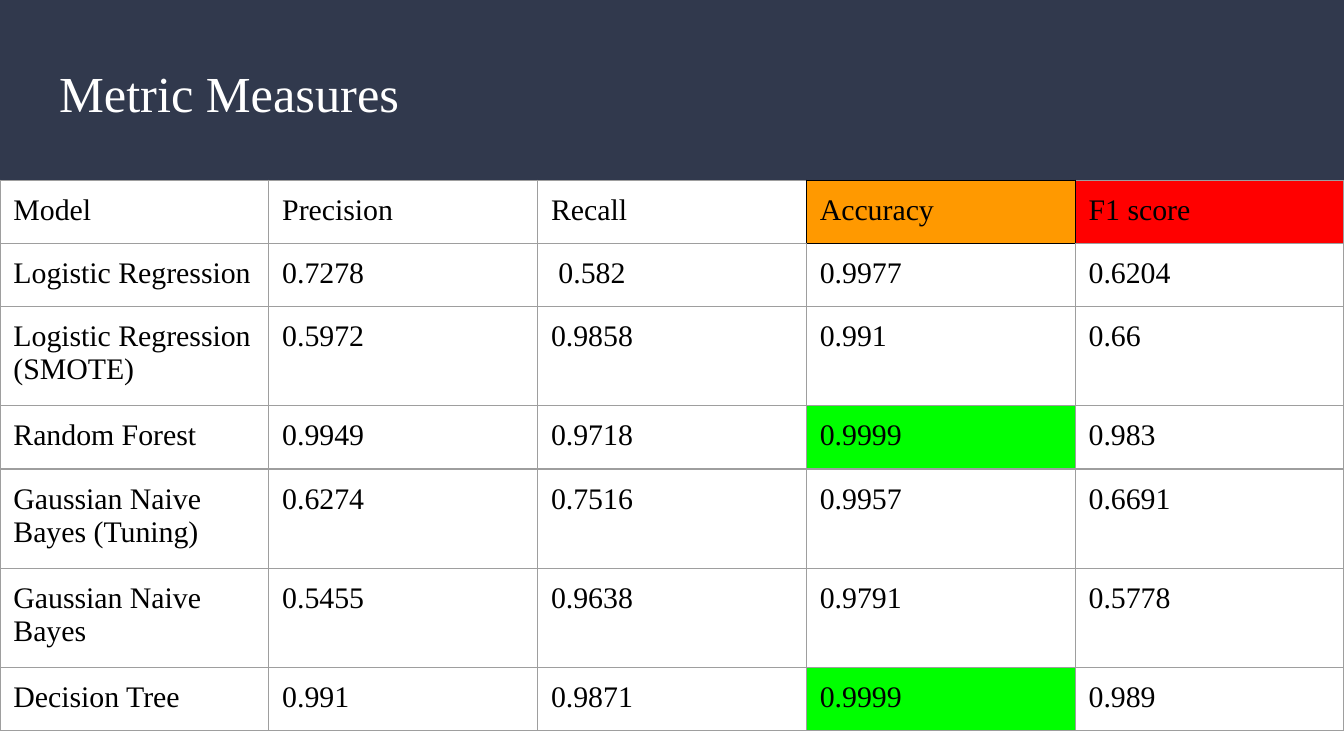
from typing import NamedTuple

from lxml import etree
from pptx import Presentation
from pptx.dml.color import RGBColor
from pptx.enum import shapes, text
from pptx.oxml.ns import qn
from pptx.util import Inches, Pt

NAVY = RGBColor(0x31, 0x39, 0x4D)
WHITE = RGBColor(0xFF, 0xFF, 0xFF)
BLACK = RGBColor(0, 0, 0)
GRAY = RGBColor(0x9E, 0x9E, 0x9E)
ORANGE = RGBColor(0xFF, 0x99, 0x00)
RED = RGBColor(0xFF, 0, 0)
GREEN = RGBColor(0, 0xFF, 0)
FONT = "Times New Roman"
PAD = Inches(0.1)
WIDE = Inches(10)
TALL = 0.74  # height of a row with two lines


class Score(NamedTuple):
    model: str
    precision: str
    recall: str
    accuracy: str
    f1: str
    height: float = 0.47


ROWS = [
    Score("Model", "Precision", "Recall", "Accuracy", "F1 score"),
    Score("Logistic Regression", "0.7278", " 0.582", "0.9977", "0.6204"),
    Score("Logistic Regression (SMOTE)", "0.5972", "0.9858", "0.991", "0.66", TALL),
    Score("Random Forest", "0.9949", "0.9718", "0.9999", "0.983"),
    Score("Gaussian Naive Bayes (Tuning)", "0.6274", "0.7516", "0.9957", "0.6691", TALL),
    Score("Gaussian Naive Bayes", "0.5455", "0.9638", "0.9791", "0.5778", TALL),
    Score("Decision Tree", "0.991", "0.9871", "0.9999", "0.989"),
]
COLS = 5
HEAD = [WHITE, WHITE, WHITE, ORANGE, RED]
ACC = 3  # accuracy column
BEST = max(row.accuracy for row in ROWS[1:])


def write(frame, words: str, *, size: float, color: RGBColor) -> None:
    para = frame.paragraphs[0]
    para.alignment = text.PP_ALIGN.LEFT
    run = para.add_run()
    run.text = words
    run.font.name = FONT
    run.font.size = Pt(size)
    run.font.color.rgb = color


def pad(box) -> None:
    box.margin_left = box.margin_right = PAD
    box.margin_top = box.margin_bottom = PAD


def edge(cell, side: str, color: RGBColor) -> None:
    """Draw one border of a cell; side is L, R, T or B."""
    line = etree.SubElement(cell._tc.get_or_add_tcPr(), qn(f"a:ln{side}"), w=str(Pt(0.75)))
    fill = etree.SubElement(line, qn("a:solidFill"))
    etree.SubElement(fill, qn("a:srgbClr"), val=str(color))


def tint(row: int, col: int) -> RGBColor | None:
    if row == 0:
        return HEAD[col]
    if col == ACC and ROWS[row].accuracy == BEST:
        return GREEN
    return None


def dark(row: int, col: int) -> str:
    """Name the sides that touch the outlined accuracy heading."""
    return {(0, ACC): "LRTB", (0, ACC - 1): "R",
            (0, ACC + 1): "L", (1, ACC): "T"}.get((row, col), "")


def add_scores(slide) -> None:
    height = sum(row.height for row in ROWS)
    grid = slide.shapes.add_table(len(ROWS), COLS, 0, Inches(1.34),
                                  WIDE, Inches(height)).table
    grid.first_row = grid.horz_banding = False
    for i, row in enumerate(ROWS):
        grid.rows[i].height = Inches(row.height)
        for j, words in enumerate(row[:COLS]):
            cell = grid.cell(i, j)
            pad(cell)
            write(cell.text_frame, words, size=16, color=BLACK)
            for side in "LRTB":
                edge(cell, side, BLACK if side in dark(i, j) else GRAY)
            color = tint(i, j)
            if color is None:
                cell.fill.background()
            else:
                cell.fill.solid()
                cell.fill.fore_color.rgb = color


def add_title(slide) -> None:
    title = slide.shapes.title
    title.left, title.top = Inches(0.34), Inches(0.35)
    title.width, title.height = Inches(9.32), Inches(0.68)
    frame = title.text_frame
    pad(frame)
    frame.vertical_anchor = text.MSO_ANCHOR.MIDDLE
    write(frame, "Metric Measures", size=27, color=WHITE)

    band = slide.shapes.add_shape(shapes.MSO_SHAPE.RECTANGLE, 0, 0, WIDE, Inches(1.4))
    band.shadow.inherit = False
    band.fill.solid()
    band.fill.fore_color.rgb = NAVY
    band.line.fill.background()
    title._element.addprevious(band._element)  # band goes behind the title


def main() -> None:
    deck = Presentation()
    deck.slide_width, deck.slide_height = WIDE, WIDE * 9 // 16
    slide = deck.slides.add_slide(deck.slide_layouts[5])
    add_title(slide)
    add_scores(slide)
    deck.save("out.pptx")


if __name__ == "__main__":
    main()
